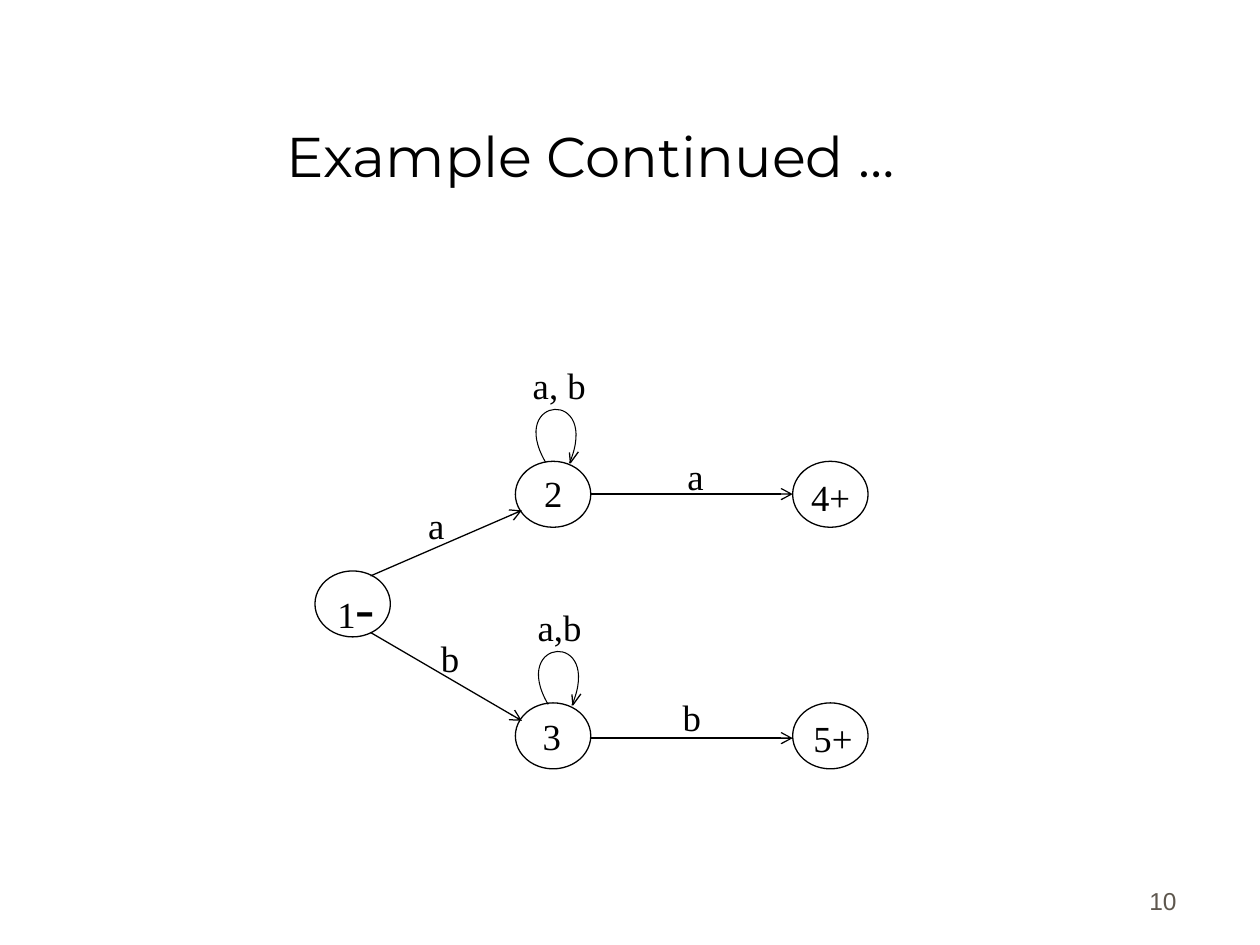
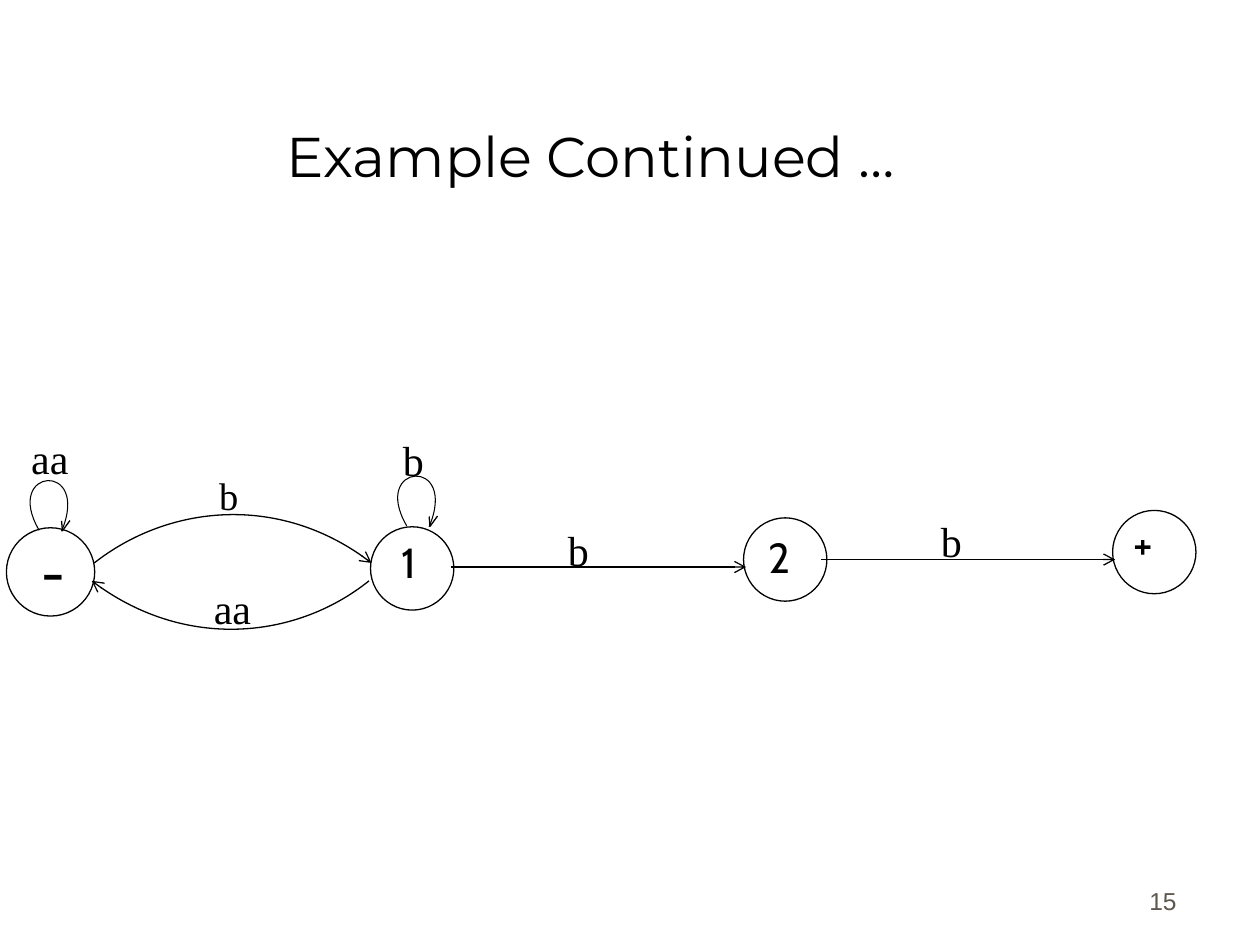
import lxml.etree
import pptx
import pptx.dml.color
import pptx.enum.shapes
import pptx.enum.text
import pptx.oxml.ns
import pptx.util

Cm = pptx.util.Cm
Pt = pptx.util.Pt
qn = pptx.oxml.ns.qn
ALIGN = pptx.enum.text.PP_ALIGN
ANCHOR = pptx.enum.text.MSO_ANCHOR

BLACK = pptx.dml.color.RGBColor(0x00, 0x00, 0x00)
WHITE = pptx.dml.color.RGBColor(0xFF, 0xFF, 0xFF)
PAGE_GREY = pptx.dml.color.RGBColor(0x5E, 0x57, 0x4E)

TITLE_FONT = "Montserrat"
PAGE_FONT = "Arial"
EDGE_FONT = "Times New Roman"
STATE_FONT = "Cabin"

STROKE = 0.74
LOOP_STROKE = 0.6
LOOP_CURVE = [(0, 0), (-0.79, -1.35), (1.12, -1.5), (0.48, 0.02)]
LOOP_HEAD = [(0.48, -0.2), (0.5, 0.01), (0.66, -0.21)]


def format_runs(paragraph, font, size, color=BLACK):
    for run in paragraph.runs:
        run.font.name = font
        run.font.size = Pt(size)
        run.font.color.rgb = color


def place(shape, left, top, width, height):
    shape.left, shape.top = Cm(left), Cm(top)
    shape.width, shape.height = Cm(width), Cm(height)


def new_slide(deck, page):
    slide = deck.slides.add_slide(deck.slide_layouts[5])
    title = slide.shapes.title
    place(title, 1.12, 0.64, 21.59, 3.17)
    frame = title.text_frame
    frame.text = "Example Continued …"
    frame.vertical_anchor = ANCHOR.BOTTOM
    frame.margin_top = frame.margin_bottom = 0
    frame.paragraphs[0].alignment = ALIGN.CENTER
    format_runs(frame.paragraphs[0], TITLE_FONT, 32)

    number = add_label(slide, page, 18.69, 17.3, 14, PAGE_FONT, 5.28, PAGE_GREY)
    number.text_frame.vertical_anchor = ANCHOR.BOTTOM
    number.text_frame.paragraphs[0].alignment = ALIGN.RIGHT
    return slide


def add_label(slide, text, left, top, size, font=EDGE_FONT, width=1.78, color=BLACK):
    label = slide.shapes.add_textbox(Cm(left), Cm(top), Cm(width), Cm(1.27))
    label.text_frame.word_wrap = True
    label.text_frame.text = text
    format_runs(label.text_frame.paragraphs[0], font, size, color)
    return label


def add_state(slide, left, top, width, height):
    state = slide.shapes.add_shape(
        pptx.enum.shapes.MSO_SHAPE.OVAL, Cm(left), Cm(top), Cm(width), Cm(height))
    state.shadow.inherit = False
    state.fill.solid()
    state.fill.fore_color.rgb = WHITE
    style_line(state, STROKE)


def style_line(shape, width, arrow=False):
    shape.line.color.rgb = BLACK
    shape.line.width = Pt(width)
    if arrow:
        outline = shape._element.spPr.find(qn("a:ln"))
        lxml.etree.SubElement(outline, qn("a:tailEnd"), type="arrow")


def add_edge(slide, x1, y1, x2, y2):
    edge = slide.shapes.add_connector(
        pptx.enum.shapes.MSO_CONNECTOR.STRAIGHT, Cm(x1), Cm(y1), Cm(x2), Cm(y2))
    style_line(edge, STROKE, arrow=True)
    lxml.etree.SubElement(edge._element.spPr, qn("a:effectLst"))


def add_outline(slide, points, width, arrow=False):
    start, *others = [(Cm(x), Cm(y)) for x, y in points]
    builder = slide.shapes.build_freeform(*start)
    builder.add_line_segments(others, close=False)
    outline = builder.convert_to_shape()
    outline.shadow.inherit = False
    outline.fill.background()
    style_line(outline, width, arrow)
    return outline


def add_curve(slide, points, width, arrow=False):
    curve = add_outline(slide, points, width, arrow)
    segments = list(curve._element.iter(qn("a:lnTo")))
    bezier = lxml.etree.SubElement(segments[0].getparent(), qn("a:cubicBezTo"))
    for segment in segments:
        bezier.append(segment[0])
        segment.getparent().remove(segment)


def add_loop(slide, left, bottom, scale=1):
    curve, head = [[(left + scale * x, bottom + scale * y) for x, y in part]
                   for part in (LOOP_CURVE, LOOP_HEAD)]
    add_curve(slide, curve, LOOP_STROKE)
    add_outline(slide, head, STROKE)


def build_branching_graph(deck):
    slide = new_slide(deck, "10")
    upper, lower = 9.3, 14.17
    for left, top in [(6.35, 11.51), (10.39, upper), (10.39, lower),
                      (15.98, upper), (15.98, lower)]:
        add_state(slide, left, top, 1.52, 1.33)
    for ends in [(7.47, 11.61, 10.52, 10.29), (7.47, 12.75, 10.52, 14.53),
                 (11.91, 9.96, 15.98, 9.96), (11.91, 14.88, 15.98, 14.88)]:
        add_edge(slide, *ends)
    add_loop(slide, 11, 9.32)
    add_loop(slide, 11.05, 14.2)
    for text, left, top in [
            ("a", 8.38, 10.01), ("b", 8.64, 12.7), ("a", 13.61, 9.02),
            ("b", 13.51, 13.89), ("a, b", 10.49, 7.19), ("a,b", 10.59, 12.07),
            ("2", 10.72, 9.37), ("3", 10.69, 14.27), ("4+", 16.1, 9.45),
            ("5+", 16.15, 14.3)]:
        add_label(slide, text, left, top, 21)
    start_name = add_label(slide, "1", 6.55, 11.38, 21).text_frame.paragraphs[0]
    start_name.add_run().text = "-"
    format_runs(start_name, EDGE_FONT, 21)
    start_name.runs[1].font.size = Pt(33)


def build_chain_graph(deck):
    slide = new_slide(deck, "15")
    for left, top, diameter in [(0.13, 10.64, 1.78), (7.47, 10.62, 1.68),
                                (14.99, 10.44, 1.68), (22.43, 10.29, 1.68)]:
        add_state(slide, left, top, diameter, diameter)
    for arc in [
            [(1.9, 11.35), (3.35, 10.21), (5.66, 9.93), (7.49, 11.35)],
            [(7.44, 11.71), (6.02, 12.85), (3.71, 13.13), (1.85, 11.71)]]:
        add_curve(slide, arc, STROKE, arrow=True)
    add_edge(slide, 9.09, 11.43, 15.04, 11.43)
    add_edge(slide, 16.56, 11.28, 22.48, 11.28)
    add_loop(slide, 0.79, 10.69, 0.94)
    add_loop(slide, 8.2, 10.6, 0.94)
    for text, left, top, size in [
            ("aa", 4.06, 11.61, 24), ("b", 4.17, 9.4, 22), ("b", 7.87, 8.64, 24),
            ("aa", 0.38, 8.59, 24), ("b", 11.2, 10.44, 24), ("b", 18.72, 10.26, 24)]:
        add_label(slide, text, left, top, size, width=2.77)
    for text, left, top, size in [
            ("-", 0.58, 10.72, 32), ("1", 7.85, 10.69, 24),
            ("2", 15.24, 10.59, 24), ("+", 22.61, 10.31, 24)]:
        add_label(slide, text, left, top, size, STATE_FONT, 1.04)


def main():
    deck = pptx.Presentation()
    deck.slide_width, deck.slide_height = Cm(25.4), Cm(19.05)
    build_branching_graph(deck)
    build_chain_graph(deck)
    deck.save("out.pptx")


main()
